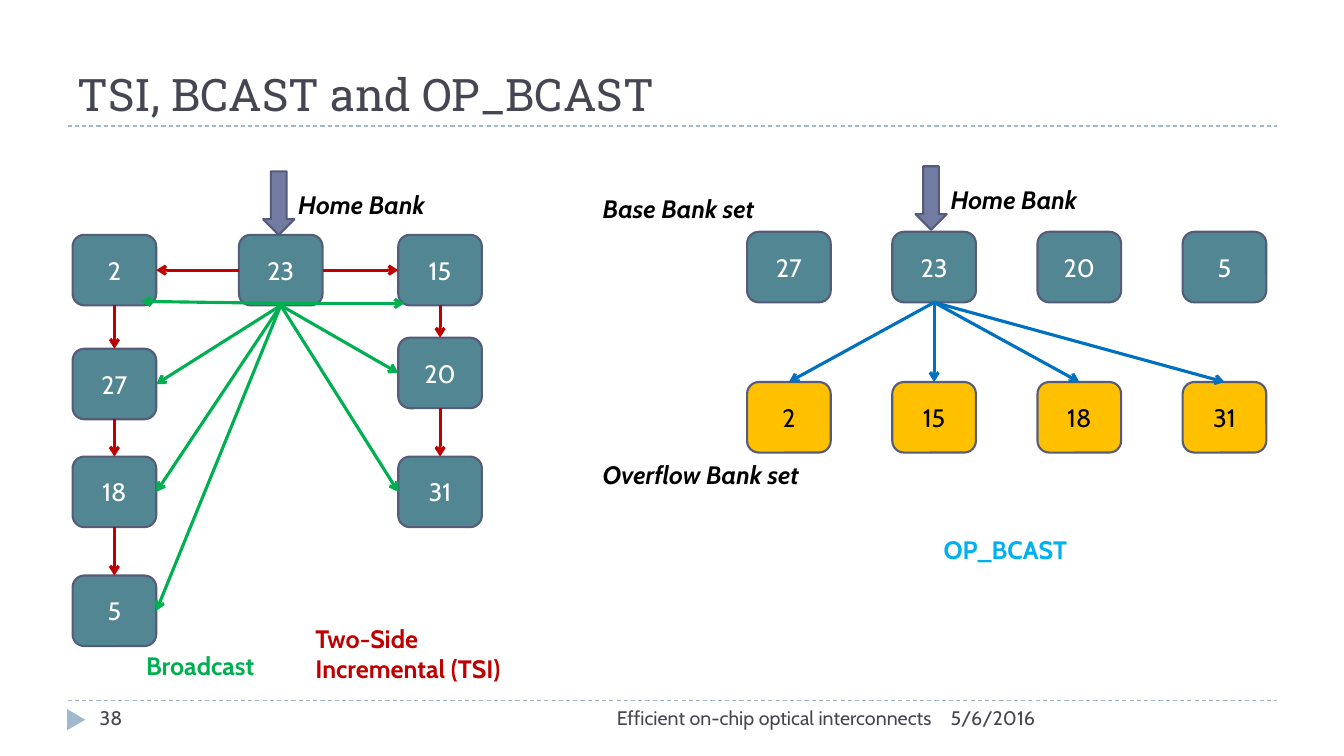
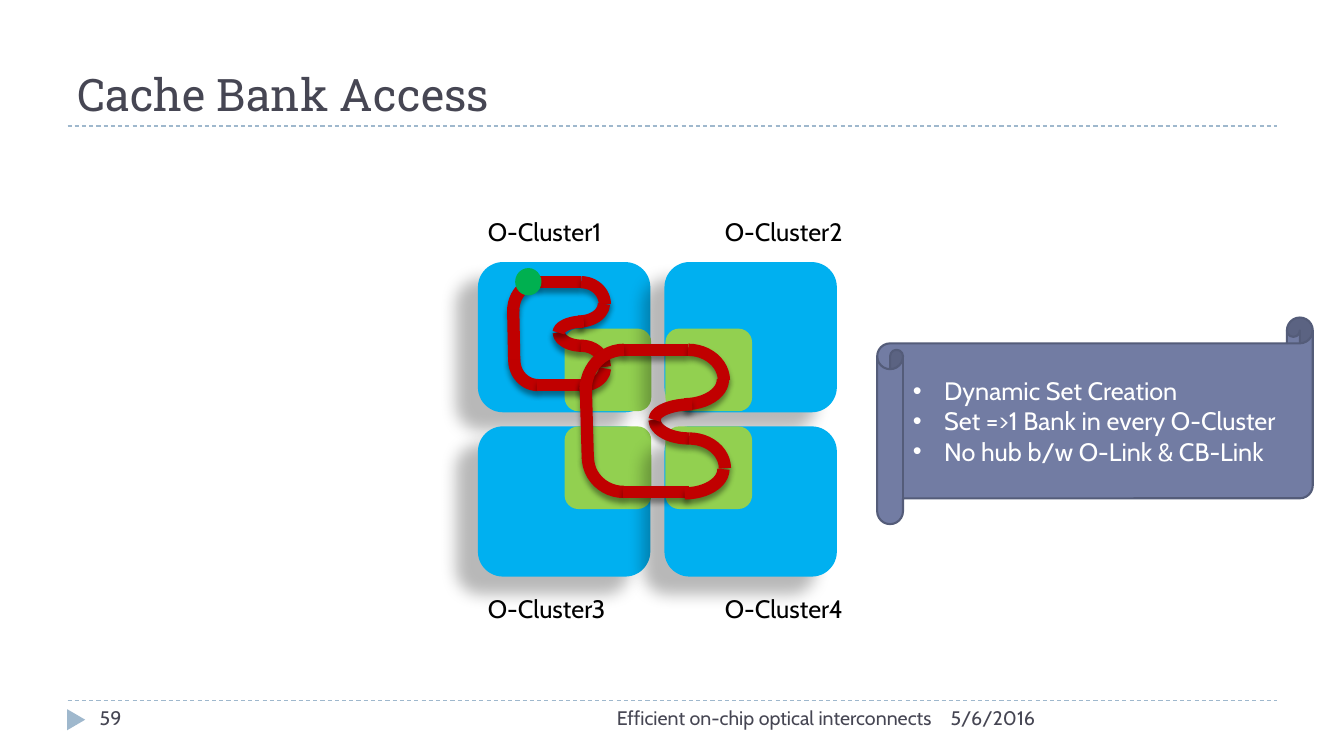
from dataclasses import dataclass
from typing import Optional

from lxml import etree
from pptx import Presentation
from pptx import util as u
from pptx.dml.color import RGBColor
from pptx.enum import dml, shapes, text
from pptx.oxml.ns import qn

EMU_PER_PX = 9144
BODY_FONT, TITLE_FONT = "Cabin", "Roboto Slab"
INK, RULE, BLACK, WHITE = "464653", "9FB8CD", "000000", "FFFFFF"
TEAL, SLATE, OUTLINE, AMBER = "528693", "727CA3", "545C79", "FFC000"
RED, GREEN, BLUE, SKY, LIME = "C00000", "00B050", "0070C0", "00B0F0", "92D050"
BANK_W, BANK_H = 83, 70
TOP, LEFT, BOTTOM, RIGHT = range(4)
MSO = shapes.MSO_SHAPE
AL = text.PP_ALIGN


@dataclass(frozen=True)
class Shadow:
    alpha: int
    blur: float
    dist: float
    angle: int


@dataclass(frozen=True)
class Label:
    x: int
    y: int
    w: int
    text: str
    h: int = 40
    color: str = BLACK
    bold: bool = False
    italic: bool = False
    size: int = 18
    align: AL = AL.LEFT


@dataclass(frozen=True)
class Bank:
    x: int
    y: int
    text: str
    fill: str = TEAL
    color: str = WHITE


@dataclass(frozen=True)
class Arc:
    x: int
    y: int
    w: int
    h: int
    rotation: int = 0
    flip: bool = False


@dataclass(frozen=True)
class Segment:
    x1: int
    y1: int
    x2: int
    y2: int


CLUSTER_SHADOW = Shadow(28, 11.8, 19.7, 141)
TRACK_SHADOW = Shadow(40, 4, 3.4, 90)
TRACK = [
    Segment(36, 0, 101, 0),
    Arc(0, 0, 76, 79, flip=True),
    Segment(0, 37, 2, 108),
    Arc(2, 72, 71, 69, 180),
    Segment(102, 141, 37, 141),
    Arc(66, 0, 71, 61),
    Arc(59, 5, 77, 49, 90),
    Arc(68, 50, 69, 38, 180),
    Arc(68, 54, 75, 31, 270),
    Arc(67, 88, 71, 59),
    Arc(60, 94, 77, 48, 90),
]


def px(n: int) -> u.Emu:
    return u.Emu(n * EMU_PER_PX)


def rgb(value: str) -> RGBColor:
    return RGBColor.from_string(value)


def set_line(sp, color: Optional[str], width: float) -> None:
    if color is None:
        sp.line.fill.background()
        return
    sp.line.color.rgb = rgb(color)
    sp.line.width = u.Pt(width)


def add_shadow(sp, shadow: Optional[Shadow]) -> None:
    if shadow is None:
        return
    outer = etree.SubElement(
        sp.element.spPr.find(qn("a:effectLst")), qn("a:outerShdw"),
        blurRad=str(u.Pt(shadow.blur)), dist=str(u.Pt(shadow.dist)),
        dir=str(shadow.angle * 60000), algn="ctr", rotWithShape="0")
    color = etree.SubElement(outer, qn("a:srgbClr"), val=BLACK)
    etree.SubElement(color, qn("a:alpha"), val=str(shadow.alpha * 1000))


def add_run(p, content: str, color: str, size: int = 18, font: str = BODY_FONT,
            bold: bool = False, italic: bool = False) -> None:
    r = p.add_run()
    r.text = content
    r.font.name, r.font.size = font, u.Pt(size)
    r.font.bold, r.font.italic = bold, italic
    r.font.color.rgb = rgb(color)


def add_shape(s, kind: MSO, x: int, y: int, w: int, h: int, fill: Optional[str],
              line: Optional[str] = None, width: float = 1.5,
              shadow: Optional[Shadow] = None):
    sp = s.shapes.add_shape(kind, px(x), px(y), px(w), px(h))
    if fill is None:
        sp.fill.background()
    else:
        sp.fill.solid()
        sp.fill.fore_color.rgb = rgb(fill)
    set_line(sp, line, width)
    sp.shadow.inherit = False
    add_shadow(sp, shadow)
    return sp


def add_line(s, seg: Segment, color: str, width: float,
             shadow: Optional[Shadow] = None):
    sp = s.shapes.add_connector(shapes.MSO_CONNECTOR.STRAIGHT, px(seg.x1),
                                px(seg.y1), px(seg.x2), px(seg.y2))
    set_line(sp, color, width)
    etree.SubElement(sp.element.spPr, qn("a:effectLst"))
    add_shadow(sp, shadow)
    return sp


def add_arrow(s, seg: Segment, color: str):
    sp = add_line(s, seg, color, 2.25)
    etree.SubElement(sp.line._get_or_add_ln(), qn("a:tailEnd"), type="arrow")
    return sp


def join(s, start, start_side: int, end, end_side: int, color: str) -> None:
    sp = add_arrow(s, Segment(0, 0, 1, 1), color)
    sp.begin_connect(start, start_side)
    sp.end_connect(end, end_side)


def add_label(s, label: Label) -> None:
    tf = s.shapes.add_textbox(px(label.x), px(label.y), px(label.w),
                              px(label.h)).text_frame
    tf.word_wrap = True
    p = tf.paragraphs[0]
    p.alignment = label.align
    add_run(p, label.text, label.color, label.size,
            bold=label.bold, italic=label.italic)


def add_bank(s, bank: Bank):
    sp = add_shape(s, MSO.ROUNDED_RECTANGLE, bank.x, bank.y, BANK_W, BANK_H,
                   bank.fill, OUTLINE)
    tf = sp.text_frame
    tf.vertical_anchor = text.MSO_ANCHOR.MIDDLE
    p = tf.paragraphs[0]
    p.alignment = AL.CENTER
    add_run(p, bank.text, bank.color)
    return sp


def add_home_arrow(s, x: int, y: int) -> None:
    add_shape(s, MSO.DOWN_ARROW, x, y, 31, 63, SLATE, OUTLINE)
    add_label(s, Label(x + 25, y + 13, 157, "Home Bank", bold=True, italic=True))


def add_track(s, x: int, y: int, sx: float = 1, sy: float = 1) -> None:
    for part in TRACK:
        if isinstance(part, Segment):
            seg = Segment(x + round(part.x1 * sx), y + round(part.y1 * sy),
                          x + round(part.x2 * sx), y + round(part.y2 * sy))
            add_line(s, seg, RED, 8.75, TRACK_SHADOW)
            continue
        left, top = x + round(part.x * sx), y + round(part.y * sy)
        w, h = round(part.w * sx), round(part.h * sy)
        if part.rotation % 180:
            left, top = left + (w - h) // 2, top - (w - h) // 2
            w, h = h, w
        sp = add_shape(s, MSO.ARC, left, top, w, h, None, RED, 8.75, TRACK_SHADOW)
        sp.rotation = part.rotation
        if part.flip:
            sp.element.spPr.find(qn("a:xfrm")).set("flipH", "1")


def style_layout(layout, s) -> None:
    title = layout.placeholders[0]
    title.left, title.top, title.width, title.height = px(67), px(17), px(1200), px(108)
    title.text_frame.vertical_anchor = text.MSO_ANCHOR.BOTTOM
    frame = [add_line(s, Segment(67, y, 1267, y), RULE, 0.75) for y in (695, 125)]
    for rule in frame:
        rule.line.dash_style = dml.MSO_LINE.DASH
    marker = add_shape(s, MSO.ISOSCELES_TRIANGLE, 65, 705, 21, 18, RULE)
    marker.rotation = 90
    for i, sp in enumerate([*frame, marker]):
        sp.element.xpath(".//p:cNvPr")[0].set("id", str(101 + i))
        layout.shapes.element.append(sp.element)


def fill_frame(s, title: str, number: str) -> None:
    p = s.shapes.title.text_frame.paragraphs[0]
    p.alignment = AL.LEFT
    add_run(p, title, INK, 32, TITLE_FONT)
    for label in (
        Label(89, 695, 289, number, color=INK, size=14),
        Label(423, 695, 511, "Efficient on-chip optical interconnects",
              color=INK, size=14, align=AL.RIGHT),
        Label(933, 695, 334, "5/6/2016", color=INK, size=14),
    ):
        add_label(s, label)


def draw_search(s) -> None:
    home = add_bank(s, Bank(237, 233, "23"))
    left = [add_bank(s, Bank(72, y, n))
            for y, n in zip((233, 346, 453, 571), ("2", "27", "18", "5"))]
    right = [add_bank(s, Bank(395, y, n))
             for y, n in zip((233, 335, 453), ("15", "20", "31"))]
    for column, home_side, bank_side in ((left, LEFT, RIGHT), (right, RIGHT, LEFT)):
        for bank in column[1:]:
            join(s, home, BOTTOM, bank, bank_side, GREEN)
        join(s, home, home_side, column[0], bank_side, RED)
        for upper, lower in zip(column, column[1:]):
            join(s, upper, BOTTOM, lower, TOP, RED)
    add_home_arrow(s, 261, 170)
    add_arrow(s, Segment(279, 301, 140, 299), GREEN)
    add_arrow(s, Segment(277, 301, 401, 301), GREEN)
    add_label(s, Label(135, 640, 142, "Broadcast", color=GREEN, bold=True))
    add_label(s, Label(303, 613, 239, "Two-Side Incremental (TSI)", 71, RED, True))


def draw_overflow(s) -> None:
    xs = [741 + 144 * i for i in range(4)]
    base = [add_bank(s, Bank(x, 230, n))
            for x, n in zip(xs, ("27", "23", "20", "5"))]
    overflow = [add_bank(s, Bank(x, 379, n, AMBER, BLACK))
                for x, n in zip(xs, ("2", "15", "18", "31"))]
    add_home_arrow(s, 908, 165)
    for bank in overflow:
        join(s, base[1], BOTTOM, bank, TOP, BLUE)
    add_label(s, Label(926, 525, 164, "OP_BCAST", color=SKY, bold=True))
    add_label(s, Label(588, 187, 194, "Base Bank set", bold=True, italic=True))
    add_label(s, Label(588, 451, 224, "Overflow Bank set", bold=True, italic=True))


def draw_clusters(s) -> None:
    for i in range(4):
        row, col = divmod(i, 2)
        add_label(s, Label((474, 709)[col], (210, 584)[row], 140, f"O-Cluster{i + 1}"))
        add_shape(s, MSO.ROUNDED_RECTANGLE, (474, 659)[col], (260, 423)[row],
                  171, 149, SKY, shadow=CLUSTER_SHADOW)
        add_shape(s, MSO.ROUNDED_RECTANGLE, (560, 660)[col], (326, 423)[row],
                  86, 82, LIME)
    add_track(s, 509, 280, 0.66, 0.72)
    add_track(s, 581, 347)
    add_shape(s, MSO.OVAL, 512, 267, 24, 25, GREEN, GREEN)


def draw_scroll(s, lines: list[str]) -> None:
    sp = add_shape(s, MSO.HORIZONTAL_SCROLL, 870, 315, 432, 205, SLATE, OUTLINE)
    tf = sp.text_frame
    tf.vertical_anchor = text.MSO_ANCHOR.MIDDLE
    for i, line in enumerate(lines):
        p = tf.add_paragraph() if i else tf.paragraphs[0]
        p.alignment = AL.LEFT
        pPr = p._p.get_or_add_pPr()
        pPr.set("marL", str(px(31)))
        pPr.set("indent", str(px(-31)))
        etree.SubElement(pPr, qn("a:buFont"), typeface="Arial")
        etree.SubElement(pPr, qn("a:buChar"), char="•")
        add_run(p, line, WHITE)


def main() -> None:
    prs = Presentation()
    prs.slide_width, prs.slide_height = px(1333), px(750)
    layout = prs.slide_layouts[5]

    s = prs.slides.add_slide(layout)
    style_layout(layout, s)
    fill_frame(s, "TSI, BCAST and OP_BCAST", "38")
    draw_search(s)
    draw_overflow(s)

    s = prs.slides.add_slide(layout)
    fill_frame(s, "Cache Bank Access", "59")
    draw_clusters(s)
    draw_scroll(s, ["Dynamic Set Creation", "Set =>1 Bank in every O-Cluster",
                    "No hub b/w O-Link & CB-Link"])
    prs.save("out.pptx")


if __name__ == "__main__":
    main()
